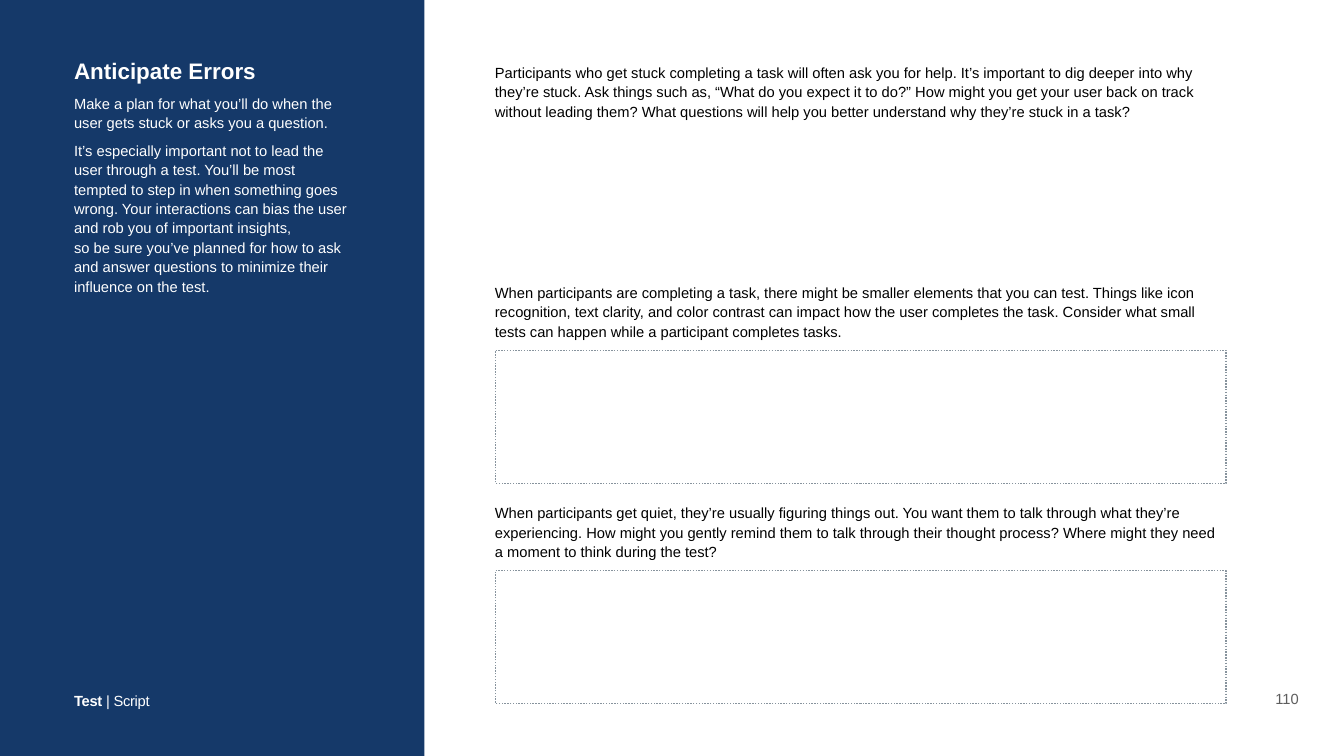
from dataclasses import dataclass

from pptx import Presentation
from pptx.dml.color import RGBColor
from pptx.enum.dml import MSO_LINE
from pptx.enum.shapes import MSO_SHAPE
from pptx.enum.text import MSO_ANCHOR, MSO_AUTO_SIZE, PP_ALIGN
from pptx.util import Inches, Pt

RECT = MSO_SHAPE.RECTANGLE
DOTS = MSO_LINE.ROUND_DOT
TOP, MID, LOW = MSO_ANCHOR.TOP, MSO_ANCHOR.MIDDLE, MSO_ANCHOR.BOTTOM
LEFT, CENTER = PP_ALIGN.LEFT, PP_ALIGN.CENTER
GROW = MSO_AUTO_SIZE.SHAPE_TO_FIT_TEXT


@dataclass(frozen=True)
class Theme:
    font: str = "Arial"
    navy: str = "153969"
    white: str = "FFFFFF"
    black: str = "000000"
    gray: str = "5E5E5E"
    edge: str = "87939D"
    head: int = 32
    body: int = 21


THEME = Theme()

TITLE = "Anticipate Errors"
INTRO = [
    "Make a plan for what you’ll do when the user gets stuck or asks you a question.",
    "It’s especially important not to lead the user through a test. You’ll be most "
    "tempted to step in when something goes wrong. Your interactions can bias the user "
    "and rob you of important insights,\vso be sure you’ve planned for how to ask and "
    "answer questions to minimize their influence on the test.",
]
HELP = (
    "Participants who get stuck completing a task will often ask you for help. It’s "
    "important to dig deeper into why they’re stuck. Ask things such as, “What do you "
    "expect it to do?” How might you get your user back on track without leading them? "
    "What questions will help you better understand why they’re stuck in a task?"
)
TASKS = [
    "When participants are completing a task, there might be smaller elements that you "
    "can test. Things like icon recognition, text clarity, and color contrast can impact "
    "how the user completes the task. Consider what small tests can happen while a "
    "participant completes tasks.",
    "When participants get quiet, they’re usually figuring things out. You want them to "
    "talk through what they’re experiencing. How might you gently remind them to talk "
    "through their thought process? Where might they need a moment to think during the "
    "test?",
]


def style(run, size, color, bold=False):
    font = run.font
    font.name, font.size, font.bold = THEME.font, Pt(size), bold
    font.color.rgb = RGBColor.from_string(color)


def add_text(slide, box, paras, color=THEME.black, size=THEME.body, head=None,
             anchor=TOP, align=LEFT, pad=0.08, lead=1.1, wrap=True):
    shape = slide.shapes.add_textbox(*map(Inches, box))
    frame = shape.text_frame
    frame.word_wrap, frame.auto_size = wrap, GROW
    frame.vertical_anchor = anchor
    frame.margin_left = frame.margin_right = Inches(pad)
    frame.margin_top = frame.margin_bottom = Inches(pad)
    for i, text in enumerate(paras):
        para = frame.paragraphs[0] if i == 0 else frame.add_paragraph()
        para.text, para.alignment = text, align
        first = head is not None and i == 0
        para.line_spacing = 1.0 if first else lead
        if i:
            para.space_before = Pt(12)
        for run in para.runs:
            style(run, head if first else size, color, first)
    return frame


def add_rect(slide, box, fill, edge=None):
    shape = slide.shapes.add_shape(RECT, *map(Inches, box))
    shape.shadow.inherit = False
    shape.fill.solid()
    shape.fill.fore_color.rgb = RGBColor.from_string(fill)
    if edge:
        shape.line.color.rgb = RGBColor.from_string(edge)
        shape.line.width, shape.line.dash_style = Pt(2), DOTS
    else:
        shape.line.fill.background()


def add_side(slide, x, y, w, h):
    add_rect(slide, (x, y, w, h), THEME.navy)
    left = x + 1.4
    add_text(slide, (left, y + 1.07, 5.63, 4.81), [TITLE, *INTRO],
             color=THEME.white, head=THEME.head)
    foot = add_text(slide, (left, y + 13.59, 1.67, 0.51), ["Test"],
                    color=THEME.white, lead=1.2, wrap=False)
    para = foot.paragraphs[0]
    para.add_run().text = " | Script"
    for run, bold in zip(para.runs, (True, False)):
        style(run, THEME.body, THEME.white, bold)
        run.font._element.set("spc", "-40")


def add_task(slide, x, y, w, h, text):
    note = 1.21
    top = note + 0.14
    add_text(slide, (x, y, w, note), [text], anchor=LOW, pad=0.06)
    add_rect(slide, (x + 0.07, y + top, w - 0.02, h - top), THEME.white, THEME.edge)


def add_main(slide, x, y, w):
    add_text(slide, (x, y, w, 1.21), [HELP], anchor=MID, pad=0.06)
    for i, text in enumerate(TASKS):
        add_task(slide, x, y + 4.4 + 4.37 * i, w, 3.99, text)


def add_page(slide, x, y, w, h):
    add_text(slide, (x, y, w, h), ["110"], color=THEME.gray, anchor=LOW,
             align=CENTER, lead=1.0, wrap=False)


def main():
    deck = Presentation()
    deck.slide_width, deck.slide_height = Inches(26.67), Inches(15)
    slide = deck.slides.add_slide(deck.slide_layouts[6])
    add_side(slide, -0.01, -0.01, 8.43, 15.02)
    add_main(slide, 9.76, 1.2, 14.52)
    add_page(slide, 25.21, 13.61, 0.66, 0.5)
    deck.save("out.pptx")


if __name__ == "__main__":
    main()
